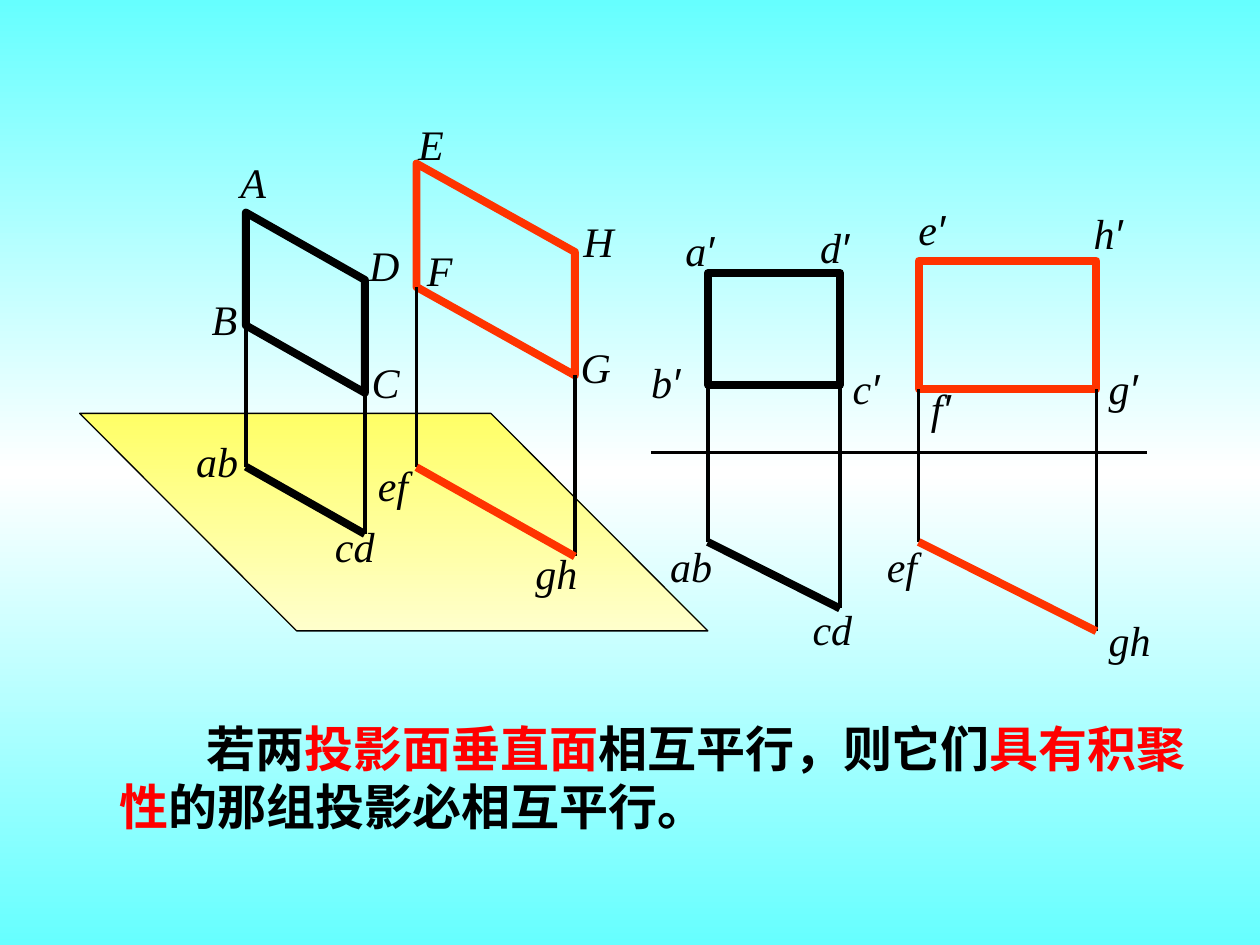
from lxml.etree import SubElement as Sub
from pptx import Presentation
from pptx.dml.color import RGBColor as RGB
from pptx.enum.shapes import MSO_CONNECTOR as LINE, MSO_SHAPE as SHAPE
from pptx.oxml.ns import qn
from pptx.util import Pt

BLACK, RED = RGB(0, 0, 0), RGB(0xFF, 0x33, 0)
MARK, AQUA = RGB(0xFF, 0, 0), RGB(0x66, 0xFF, 0xFF)
WHITE = RGB(0xFF, 0xFF, 0xFF)
GOLD, CREAM = RGB(0xFF, 0xFF, 0x66), RGB(0xFF, 0xFF, 0xCC)
SERIF, SANS = "Times New Roman", "Arial"
HAIR, BOLD = 0, 4.5

# Content, lengths in points
RULE = [("若两", BLACK), ("投影面垂直面", MARK), ("相互平行，则它们", BLACK),
        ("具有积聚性", MARK), ("的那组投影必相互平行。", BLACK)]
PLANE = [(45.5, 236.2), (280.5, 236.2), (404.5, 360.5), (169.5, 360.5)]
AXIS = (372, 258.5, 655.5, 258.5)

# Faces: colour, left, right, top, height, tilt, foot of left side, foot drop
# Labels: text, left, top
VIEWS = [
    {"faces": [(BLACK, 140.5, 208.5, 121.5, 64.5, 38.5, 266.7, 38.5),
               (RED, 238, 328.5, 93.5, 70.5, 50.5, 267, 51)],
     "names": [("ab", 105, 245.5), ("cd", 184.3, 293.8), ("ef", 208.8, 259.2),
               ("gh", 298.8, 309.6), ("A", 130.3, 85.7), ("B", 113.8, 164.2),
               ("D", 203.8, 133.2), ("C", 205.2, 200.2), ("E", 231.8, 64),
               ("F", 236.9, 136), ("H", 326.2, 119.5), ("G", 324.7, 191.5)]},
    {"faces": [(BLACK, 404.5, 480, 156, 64, 0, 309.7, 38),
               (RED, 525, 626.5, 149, 73.5, 0, 309.7, 51)],
     "names": [("ab", 375.8, 305.3), ("cd", 457.2, 341.3), ("ef", 499.7, 305.3),
               ("gh", 626.4, 347.8), ("a′", 384.5, 124.6), ("d′", 461.5, 123.1),
               ("f′", 524.9, 215.3), ("g′", 626.4, 203.8), ("h′", 617.8, 115.2),
               ("e′", 517.7, 113), ("c′", 480.2, 203.8), ("b′", 365, 200.2)]},
]


def shade(fill, root, stops):
    """Vertical gradient with evenly spaced stops."""
    fill.gradient()
    fill.gradient_angle = 270
    rail = next(root.iter(qn("a:gsLst")))
    for old in list(rail):
        rail.remove(old)
    for i, tone in enumerate(stops):
        stop = Sub(rail, qn("a:gs"), pos=str(100000 * i // (len(stops) - 1)))
        Sub(stop, qn("a:srgbClr"), val=str(tone))


def ink(part, tone, size):
    part.line.color.rgb = tone
    part.line.width = Pt(size)


def draw(home, ends, tone=BLACK, size=HAIR):
    line = home.add_connector(LINE.STRAIGHT, *map(Pt, ends))
    ink(line, tone, size)
    Sub(line._element.spPr, qn("a:effectLst"))


def trace(home, dots):
    pen = home.build_freeform(*map(Pt, dots[0]))
    pen.add_line_segments([(Pt(x), Pt(y)) for x, y in dots[1:]], close=True)
    return pen.convert_to_shape()


def write(home, box, runs, **looks):
    frame = home.add_textbox(*map(Pt, box)).text_frame
    frame.word_wrap = True
    para = frame.paragraphs[0]
    for text, tone, face in runs:
        run = para.add_run()
        run.text = text
        run.font.color.rgb = tone
        for key, val in {"name": face, **looks}.items():
            setattr(run.font, key, val)
    return para


def face(home, tone, left, right, top, high, tilt, foot, drop):
    if tilt:
        part = trace(home, [(left, top), (right, top + tilt),
                            (right, top + tilt + high), (left, top + high)])
    else:
        part = home.add_shape(SHAPE.RECTANGLE, Pt(left), Pt(top),
                              Pt(right - left), Pt(high))
    part.shadow.inherit = False
    part.fill.background()
    ink(part, tone, BOLD)
    # Projection lines and the edge view below
    draw(home, (left, top + high, left, foot))
    draw(home, (right, top + tilt + high, right, foot + drop))
    draw(home, (left, foot, right, foot + drop), tone, BOLD)


deck = Presentation()
deck.slide_width, deck.slide_height = Pt(720), Pt(540)
slide = deck.slides.add_slide(deck.slide_layouts[6])
shade(slide.background.fill, slide.element, [AQUA, WHITE, AQUA])

# Statement
para = write(slide.shapes, (61.2, 406.8, 623.5, 75),
             [(text, tone, SERIF) for text, tone in RULE],
             size=Pt(28), bold=True)
para._p.get_or_add_pPr().set("indent", str(Pt(50)))

# Spatial view and two-view drawing
space, flat = [slide.shapes.add_group_shape().shapes for _ in VIEWS]
plane = trace(space, PLANE)
plane.shadow.inherit = False
shade(plane.fill, plane._element, [GOLD, CREAM])
ink(plane, BLACK, HAIR)
draw(flat, AXIS)

for home, view in zip((space, flat), VIEWS):
    for item in view["faces"]:
        face(home, *item)
    for name, left, top in view["names"]:
        wide = 37.5 if "′" in name else 54
        runs = [(c, BLACK, SANS if c == "′" else SERIF) for c in name]
        write(home, (left, top, wide, 36), runs, size=Pt(24), italic=True)

deck.save("out.pptx")
